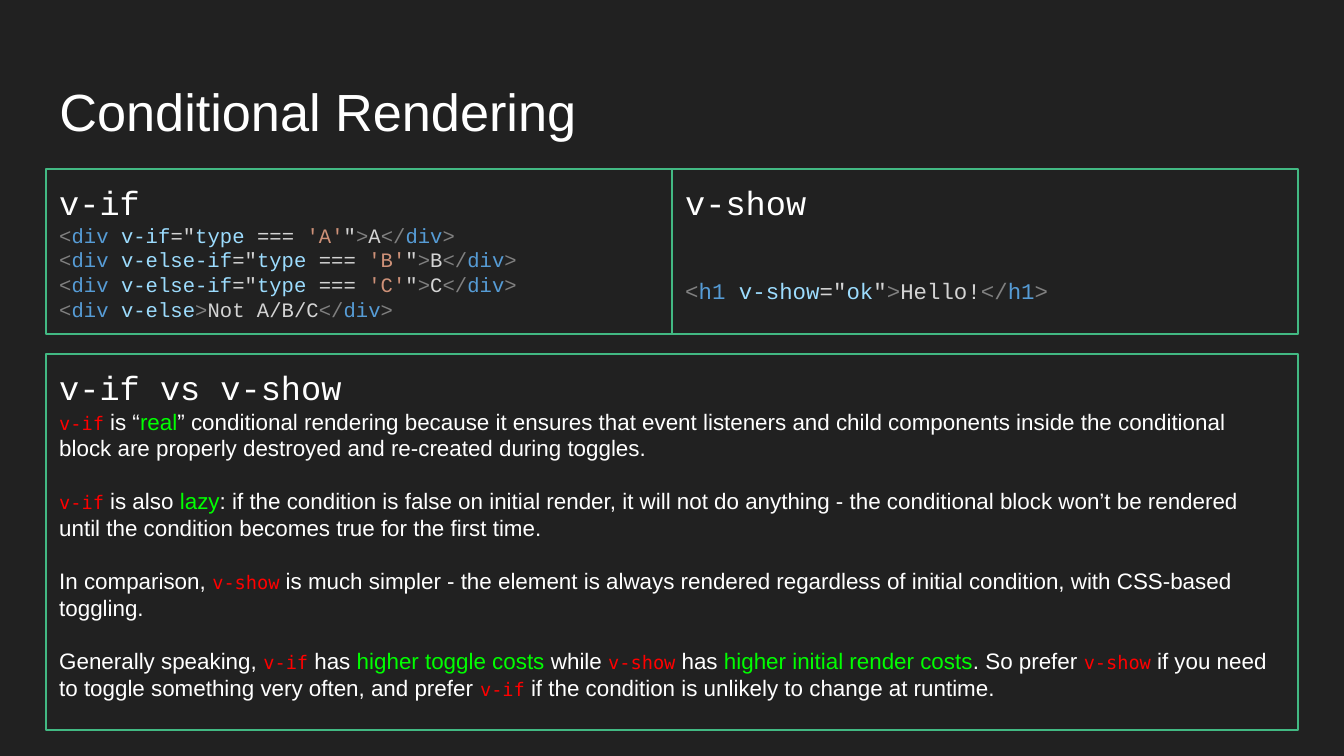
from pptx import Presentation
from pptx import util as u
from pptx.dml.color import RGBColor
from pptx.enum import shapes, text

PX = 914400 * 10 / 1344
INSET = u.Inches(0.1)
BACKGROUND = RGBColor(0x21, 0x21, 0x21)
BORDER = RGBColor(0x42, 0xB9, 0x83)
WHITE = RGBColor(0xFF, 0xFF, 0xFF)
RED = RGBColor(0xFF, 0x00, 0x00)
GREEN = RGBColor(0x00, 0xFF, 0x00)
GREY = RGBColor(0x80, 0x80, 0x80)
TAG = RGBColor(0x56, 0x9C, 0xD6)
NAME = RGBColor(0x9C, 0xDC, 0xFE)
PLAIN = RGBColor(0xD4, 0xD4, 0xD4)
STRING = RGBColor(0xCE, 0x91, 0x78)
SANS, CODE, MONO = "Arial", "Courier New", "DejaVu Sans Mono"

NOTES = [
    ["`v-if", " is “", "*real", "” conditional rendering because it ensures that event "
     "listeners and child components inside the conditional block are properly destroyed "
     "and re-created during toggles."],
    ["`v-if", " is also ", "*lazy", ": if the condition is false on initial render, it will "
     "not do anything - the conditional block won’t be rendered until the condition "
     "becomes true for the first time."],
    ["In comparison, ", "`v-show", " is much simpler - the element is always rendered "
     "regardless of initial condition, with CSS-based toggling."],
    ["Generally speaking, ", "`v-if", " has ", "*higher toggle costs", " while ", "`v-show",
     " has ", "*higher initial render costs", ". So prefer ", "`v-show", " if you need to "
     "toggle something very often, and prefer ", "`v-if", " if the condition is unlikely "
     "to change at runtime."],
]


def px(length):
    """Turn pixels into EMU."""
    return u.Emu(round(length * PX))


def add_span(para, words, size=12, font=SANS, color=WHITE):
    """Add one formatted run to a paragraph."""
    span = para.add_run()
    span.text = words
    span.font.size = u.Pt(size)
    span.font.name = font
    span.font.color.rgb = color


def set_frame(frame):
    """Give a text frame its wrapping, insets and anchor."""
    frame.word_wrap = True
    frame.auto_size = text.MSO_AUTO_SIZE.NONE
    frame.vertical_anchor = text.MSO_ANCHOR.TOP
    frame.margin_left = frame.margin_right = INSET
    frame.margin_top = frame.margin_bottom = INSET


def set_para(para, before=0, spacing=1.0):
    """Left-align and space a paragraph, and return it."""
    para.alignment = text.PP_ALIGN.LEFT
    para.space_before = u.Pt(before)
    para.line_spacing = spacing
    return para


def add_panel(page, heading, left, top, width, height):
    """Add an outlined panel with a heading and return its text frame."""
    box = page.shapes.add_shape(shapes.MSO_SHAPE.RECTANGLE,
                                px(left), px(top), px(width), px(height))
    box.shadow.inherit = False
    box.fill.background()
    box.line.color.rgb = BORDER
    box.line.width = u.Pt(0.75)
    frame = box.text_frame
    set_frame(frame)
    add_span(set_para(frame.paragraphs[0]), heading, size=18, font=CODE)
    return frame


def add_markup(para, tag, directive, test, content, size):
    """Write one highlighted HTML element with a directive."""
    pieces = [("<", GREY), (tag + " ", TAG), (directive, NAME)]
    if test:
        pieces += [('="', PLAIN), *test, ('"', PLAIN)]
    pieces += [(">", GREY), (content, PLAIN), ("</", GREY), (tag, TAG), (">", GREY)]
    for words, color in pieces:
        add_span(para, words, size=size, font=CODE, color=color)


def add_note(para, pieces):
    """Write a sentence with ` marking code and * marking key words."""
    for piece in pieces:
        if piece.startswith("`"):
            add_span(para, piece[1:], size=10, font=MONO, color=RED)
        elif piece.startswith("*"):
            add_span(para, piece[1:], color=GREEN)
        else:
            add_span(para, piece)


def add_title(page, words):
    """Place and format the title placeholder."""
    title = page.shapes.title
    title.left, title.top, title.width, title.height = px(46), px(66), px(1252), px(84)
    set_frame(title.text_frame)
    add_span(set_para(title.text_frame.paragraphs[0]), words, size=28)


def main():
    """Build the slide and save it."""
    deck = Presentation()
    deck.slide_width, deck.slide_height = px(1344), px(756)
    page = deck.slides.add_slide(deck.slide_layouts[5])
    page.background.fill.solid()
    page.background.fill.fore_color.rgb = BACKGROUND
    add_title(page, "Conditional Rendering")

    frame = add_panel(page, "v-if", 46, 169, 626, 165)
    for directive, letter in [("v-if", "A"), ("v-else-if", "B"), ("v-else-if", "C")]:
        test = [("type", NAME), (" === ", PLAIN), (f"'{letter}'", STRING)]
        add_markup(set_para(frame.add_paragraph()), "div", directive, test, letter, 11)
    add_markup(set_para(frame.add_paragraph()), "div", "v-else", None, "Not A/B/C", 11)

    frame = add_panel(page, "v-show", 672, 169, 626, 165)
    para = set_para(frame.add_paragraph(), before=22, spacing=1.5)
    add_markup(para, "h1", "v-show", [("ok", NAME)], "Hello!", 12)

    frame = add_panel(page, "v-if vs v-show", 46, 354, 1252, 376)
    for index, pieces in enumerate(NOTES):
        add_note(set_para(frame.add_paragraph(), before=14 if index else 0), pieces)

    deck.save("out.pptx")


if __name__ == "__main__":
    main()
